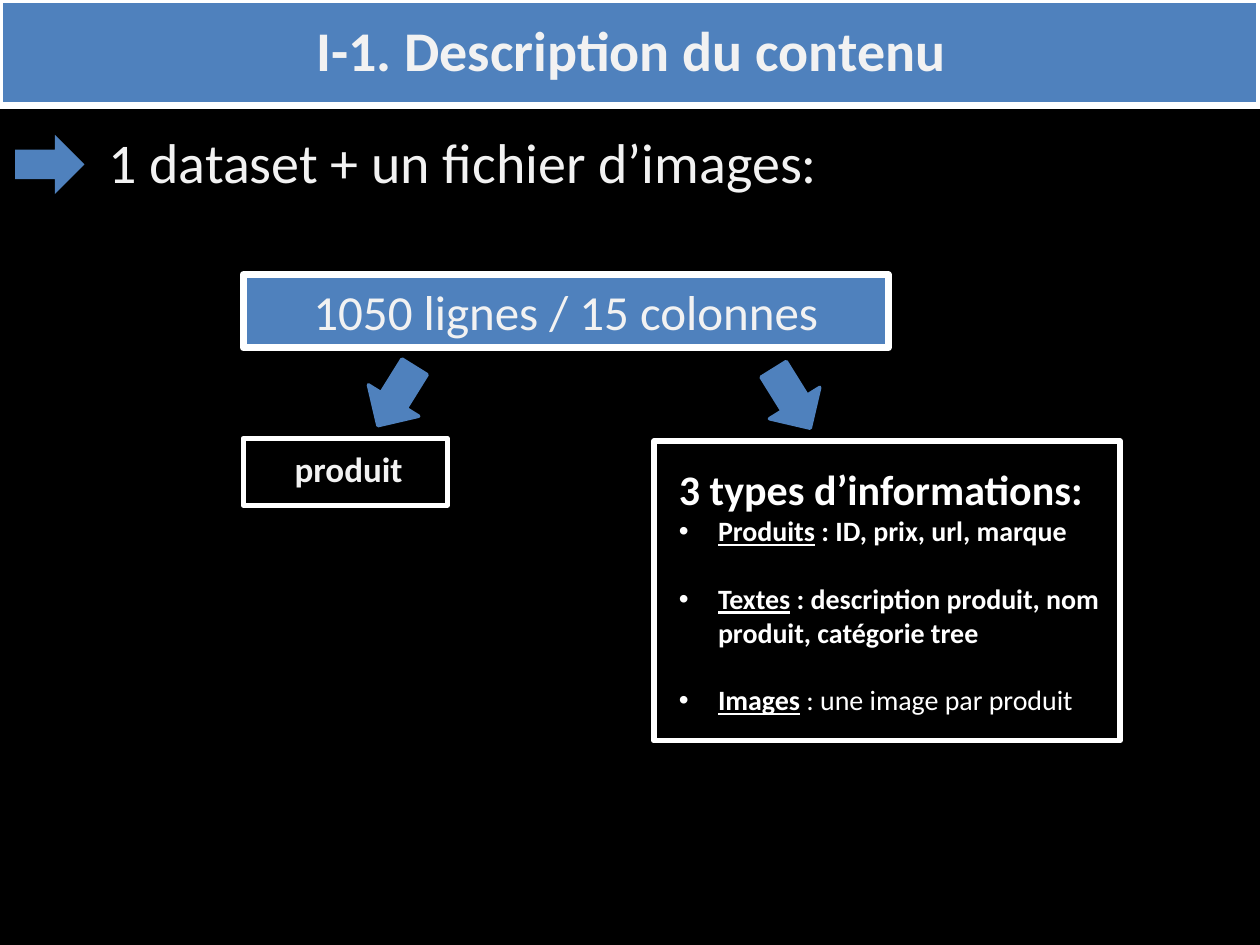
from lxml.etree import SubElement
from pptx import Presentation
from pptx.dml.color import RGBColor
from pptx.enum.shapes import MSO_SHAPE as Shape
from pptx.enum.text import MSO_ANCHOR as Anchor, MSO_AUTO_SIZE as AutoSize, PP_ALIGN as Align
from pptx.oxml.ns import qn
from pptx.util import Inches, Pt

BLUE, WHITE, PALE, BLACK = "4F81BD", "FFFFFF", "F2F2F2", "000000"
FONT = "Calibri"
WIDTH, HEIGHT = 10, 7.5
INDENT = 0.31

TITLE = "I-1. Description du contenu"
SUBTITLE = "1 dataset + un fichier d’images:"
DATASET = "1050 lignes / 15 colonnes"
PRODUCT = "produit"
INFO_HEADING = "3 types d’informations:"
INFO_TYPES = [
    ("Produits", " : ID, prix, url, marque", True, None),
    ("Textes", " : description produit, nom", True, "produit, catégorie tree"),
    ("Images", " : une image par produit", False, None),
]

LEFT_EDGE = 0.193 * WIDTH
BAND_BOX = (0, 0, WIDTH, 0.84)
DATASET_BOX = (LEFT_EDGE, 2.18, 5.12, 0.58)
FRAMES = [(LEFT_EDGE, 3.48, 1.62, 0.53), (5.19, 3.5, 3.7, 2.38)]
ARROWS = [
    (0.12, 1.07, 0, None),
    (6.01, 2.93, 58.1, 2),
    (2.87, 2.91, 180 - 58.1, 2),
]
ARROW_SIZE = (0.55, 0.47)


def rgb(value):
    return RGBColor.from_string(value)


def place(part, box):
    part.left, part.top, part.width, part.height = map(Inches, box)


def style(run, size, color, bold=False, underline=False):
    font = run.font
    font.name, font.size, font.bold, font.underline = FONT, Pt(size), bold, underline
    font.color.rgb = rgb(color)


def write(paragraph, text, size, color, bold=False):
    paragraph.text = text
    style(paragraph.runs[0], size, color, bold)


def add_block(slide, kind, box, fill=None, line=None, weight=None):
    block = slide.shapes.add_shape(kind, *map(Inches, box))
    block.shadow.inherit = False
    if fill:
        block.fill.solid()
        block.fill.fore_color.rgb = rgb(fill)
    else:
        block.fill.background()
    if weight:
        block.line.color.rgb = rgb(line)
        block.line.width = Pt(weight)
    else:
        block.line.fill.background()
    return block


def add_text(slide, box):
    label = slide.shapes.add_textbox(*map(Inches, box))
    label.text_frame.word_wrap = True
    return label.text_frame


def set_indent(paragraph, bullet=None):
    properties = paragraph._p.get_or_add_pPr()
    properties.set("marL", str(Inches(INDENT)))
    properties.set("indent", str(-Inches(INDENT) if bullet else 0))
    if bullet:
        SubElement(properties, qn("a:buFont")).set("typeface", "Arial")
        SubElement(properties, qn("a:buChar")).set("char", bullet)


def fill_placeholder(placeholder, box, text, align, anchor, bold):
    place(placeholder, box)
    frame = placeholder.text_frame
    frame.auto_size = AutoSize.NONE
    frame.vertical_anchor = anchor
    paragraph = frame.paragraphs[0]
    write(paragraph, text, 32, PALE, bold)
    paragraph.alignment = align
    paragraph.space_before = Pt(0)
    return paragraph


def add_info(slide):
    frame = add_text(slide, (5.29, 3.43, 4.59, 2.59))
    heading = frame.paragraphs[0]
    write(heading, INFO_HEADING, 24, WHITE, True)
    heading.line_spacing = 1.5
    for index, (name, detail, bold, continuation) in enumerate(INFO_TYPES):
        item = frame.add_paragraph()
        set_indent(item, "•")
        item.space_before = Pt(19.5 if index else 0)
        write(item, name, 16, WHITE, True)
        item.runs[0].font.underline = True
        detail_run = item.add_run()
        detail_run.text = detail
        style(detail_run, 16, WHITE, bold)
        if continuation:
            follow = frame.add_paragraph()
            set_indent(follow)
            write(follow, continuation, 16, WHITE, bold)


def main():
    deck = Presentation()
    deck.slide_width, deck.slide_height = Inches(WIDTH), Inches(HEIGHT)
    slide = deck.slides.add_slide(deck.slide_layouts[1])
    slide.background.fill.solid()
    slide.background.fill.fore_color.rgb = rgb(BLACK)

    title, subtitle = slide.placeholders
    fill_placeholder(title, (0.51, -0.03, 9, 0.84), TITLE, Align.CENTER, Anchor.MIDDLE, True)
    opening = fill_placeholder(
        subtitle, (0.76, 0.96, 9, 0.82), SUBTITLE, Align.LEFT, Anchor.TOP, False)
    properties = opening._p.get_or_add_pPr()
    properties.set("marL", "0")
    properties.set("indent", "0")
    SubElement(properties, qn("a:buNone"))

    band = add_block(slide, Shape.RECTANGLE, BAND_BOX, BLUE, WHITE, 4)
    slide.shapes._spTree.insert(2, band._element)

    dataset = add_block(slide, Shape.RECTANGLE, DATASET_BOX, BLUE, WHITE, 4)
    dataset.text_frame.vertical_anchor = Anchor.MIDDLE
    write(dataset.text_frame.paragraphs[0], DATASET, 28, PALE)
    dataset.text_frame.paragraphs[0].alignment = Align.CENTER

    for left, top, angle, weight in ARROWS:
        arrow = add_block(
            slide, Shape.RIGHT_ARROW, (left, top, *ARROW_SIZE), BLUE, BLUE, weight)
        arrow.rotation = angle
    for box in FRAMES:
        add_block(slide, Shape.RECTANGLE, box, None, WHITE, 3)

    product = add_text(slide, (2.24, 3.5, 1.73, 0.44))
    write(product.paragraphs[0], PRODUCT, 20, PALE, True)
    add_info(slide)
    deck.save("out.pptx")


if __name__ == "__main__":
    main()
